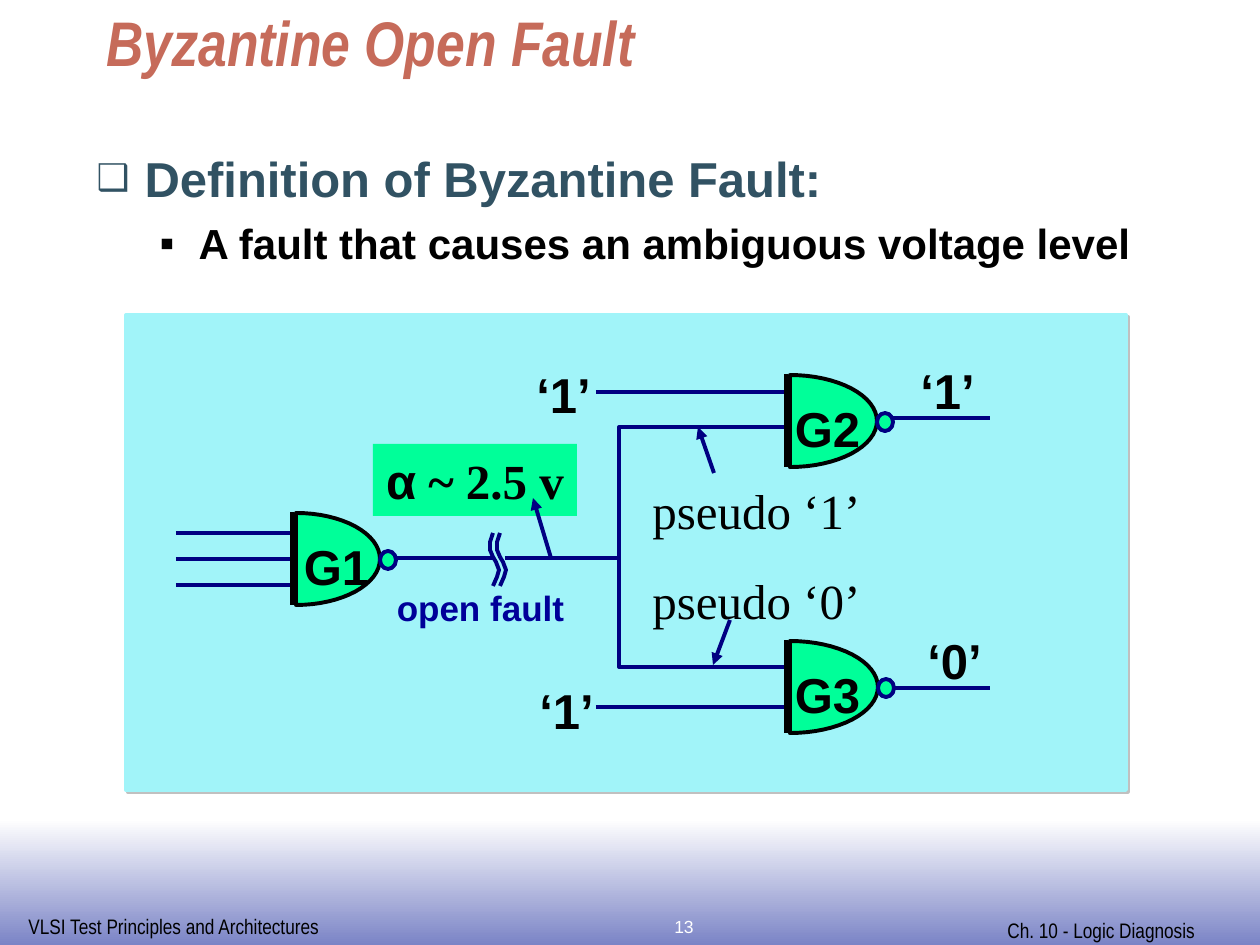
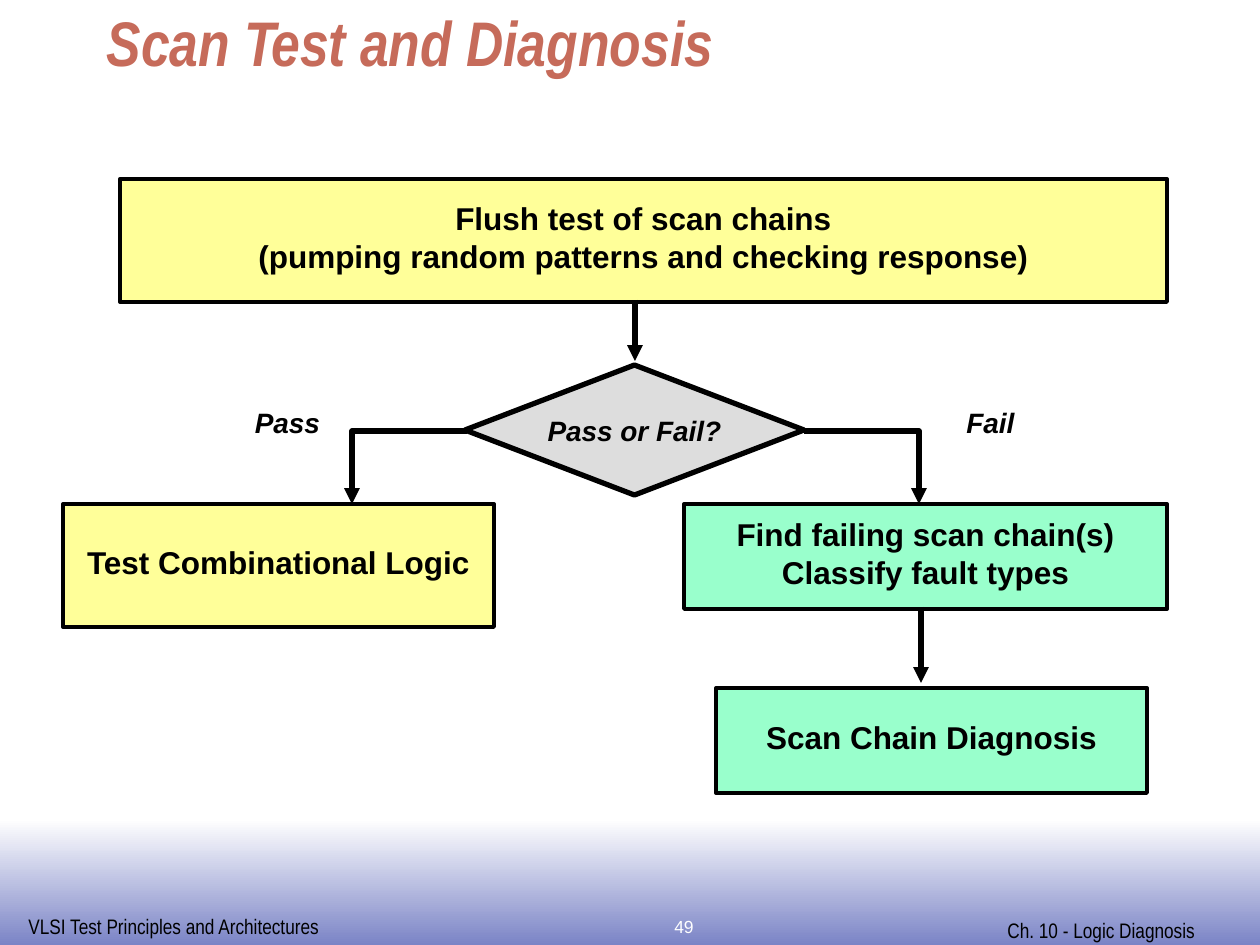
from dataclasses import dataclass
from math import cos, pi, sin

from lxml.etree import SubElement
from pptx import Presentation
from pptx.dml.color import RGBColor
from pptx.enum.dml import MSO_LINE
from pptx.enum.shapes import MSO_CONNECTOR, MSO_SHAPE
from pptx.enum.text import MSO_ANCHOR, MSO_AUTO_SIZE, PP_ALIGN
from pptx.oxml.ns import qn
from pptx.shapes.autoshape import Shape
from pptx.shapes.connector import Connector
from pptx.slide import Slide
from pptx.text.text import TextFrame
from pptx.util import Emu, Pt

BLACK = RGBColor(0x00, 0x00, 0x00)
WHITE = RGBColor(0xFF, 0xFF, 0xFF)
BAND_BLUE = RGBColor(0x7B, 0x84, 0xC6)
TITLE_RUST = RGBColor(0xC6, 0x6B, 0x5A)
HEADING_SLATE = RGBColor(0x31, 0x52, 0x63)
WIRE_NAVY = RGBColor(0x00, 0x00, 0x82)
FAULT_BLUE = RGBColor(0x00, 0x00, 0x99)
GATE_GREEN = RGBColor(0x00, 0xFF, 0x99)
PANEL_CYAN = RGBColor(0xA1, 0xF4, 0xF9)
STEP_YELLOW = RGBColor(0xFF, 0xFF, 0x99)
STEP_MINT = RGBColor(0x99, 0xFF, 0xCC)
DECISION_GREY = RGBColor(0xDD, 0xDD, 0xDD)

SANS, NARROW, SERIF = "Arial", "Arial Narrow", "Times New Roman"
PX_PER_INCH = 126
Box = tuple[int, int, int, int]
Point = tuple[float, float]


@dataclass(frozen=True)
class Style:
    size: int
    font: str = SANS
    color: RGBColor = BLACK
    bold: bool = False
    italic: bool = False


TITLE = Style(36, NARROW, TITLE_RUST, True, True)
HEADING = Style(28, SANS, HEADING_SLATE, True)
DETAIL = Style(24, bold=True)
FOOTER = Style(12, NARROW)
PAGE = Style(10, color=WHITE)
SIGNAL = Style(28, bold=True)
VOLTAGE = Style(28, SERIF, bold=True)
PSEUDO = Style(28, SERIF)
FAULT = Style(20, color=FAULT_BLUE, bold=True)
STEP = Style(18, bold=True)
OUTCOME = Style(16, bold=True, italic=True)


@dataclass(frozen=True)
class Label:
    text: str
    box: Box
    style: Style
    align: PP_ALIGN = PP_ALIGN.CENTER
    wrap: bool = False


@dataclass(frozen=True)
class Gate:
    name: str
    box: Box
    name_left: int


@dataclass(frozen=True)
class Step:
    lines: tuple[str, ...]
    box: Box
    fill: RGBColor


@dataclass(frozen=True)
class Bullet:
    text: str
    style: Style
    char: str
    size_pct: int
    margin: int
    hanging: int
    space_before: int


FOOTERS = (
    Label("VLSI Test Principles and Architectures", (16, 907, 319, 38), FOOTER, PP_ALIGN.LEFT, True),
    Label("Ch. 10 - Logic Diagnosis", (995, 911, 247, 38), FOOTER, PP_ALIGN.LEFT, True),
)
BULLETS = (
    Bullet("Definition of Byzantine Fault:", HEADING, "❑", 75, 48, 48, 0),
    Bullet("A fault that causes an ambiguous voltage level", DETAIL, "▪", 100, 102, 39, 6),
)
GATES = (
    Gate("G1", (296, 513, 84, 92), 291),
    Gate("G2", (790, 375, 87, 92), 782),
    Gate("G3", (790, 641, 88, 92), 782),
)
WIRES = (
    *(((176, 533 + 26 * i), (292, 533 + 26 * i)) for i in range(3)),
    ((393, 558), (493, 558)),
    ((596, 392), (787, 392)),
    ((596, 707), (787, 707)),
    ((891, 418), (990, 418)),
    ((891, 688), (990, 688)),
)
BRANCHES = (
    ((505, 558), (619, 558), (619, 427), (790, 427)),
    ((619, 558), (619, 667), (790, 667)),
)
BREAK_CURVE = ((493, 533), (490, 542), (490, 550), (493, 557), (496, 562),
               (499, 570), (497, 577), (493, 586))
POINTERS = (((551, 558), (533, 498)), ((714, 473), (698, 427)), ((730, 620), (713, 665)))
CIRCUIT_LABELS = (
    Label("‘1’", (524, 358, 79, 72), SIGNAL),
    Label("‘1’", (527, 674, 79, 72), SIGNAL),
    Label("‘1’", (908, 354, 79, 72), SIGNAL),
    Label("‘0’", (915, 624, 79, 72), SIGNAL),
    Label("pseudo ‘1’", (640, 474, 233, 72), PSEUDO, PP_ALIGN.LEFT, True),
    Label("pseudo ‘0’", (640, 564, 233, 72), PSEUDO, PP_ALIGN.LEFT, True),
    Label("open fault", (384, 580, 193, 55), FAULT),
)
STEPS = (
    Step(("Flush test of scan chains", "(pumping random patterns and checking response)"),
         (120, 179, 1047, 123), STEP_YELLOW),
    Step(("Test Combinational Logic",), (63, 504, 431, 123), STEP_YELLOW),
    Step(("Find failing scan chain(s)", "Classify fault types"), (684, 504, 483, 105), STEP_MINT),
    Step(("Scan Chain Diagnosis",), (716, 688, 431, 105), STEP_MINT),
)
FLOWS = (((635, 300), (635, 361)), ((921, 607), (921, 683)))
ELBOWS = (((467, 431), (352, 431), (352, 504)), ((804, 431), (919, 431), (919, 504)))
OUTCOMES = (
    Label("Pass", (242, 399, 91, 47), OUTCOME),
    Label("Fail", (954, 399, 73, 47), OUTCOME),
)


def px(length: float) -> Emu:
    return Emu(round(length * 914400 / PX_PER_INCH))


def add_run(paragraph, text: str, style: Style) -> None:
    run = paragraph.add_run()
    run.text = text
    font = run.font
    font.name, font.size = style.font, Pt(style.size)
    font.bold, font.italic = style.bold, style.italic
    font.color.rgb = style.color


def set_frame(frame: TextFrame, wrap: bool, anchor: MSO_ANCHOR) -> None:
    frame.auto_size = MSO_AUTO_SIZE.NONE
    frame.word_wrap = wrap
    frame.vertical_anchor = anchor


def add_label(slide: Slide, label: Label) -> TextFrame:
    frame = slide.shapes.add_textbox(*map(px, label.box)).text_frame
    set_frame(frame, label.wrap, MSO_ANCHOR.TOP)
    frame.paragraphs[0].alignment = label.align
    add_run(frame.paragraphs[0], label.text, label.style)
    return frame


def paint(shape: Shape, fill: RGBColor | None, line: RGBColor | None, width: float = 2.25) -> None:
    shape.shadow.inherit = False
    if fill is None:
        shape.fill.background()
    else:
        shape.fill.solid()
        shape.fill.fore_color.rgb = fill
    if line is None:
        shape.line.fill.background()
    else:
        shape.line.color.rgb = line
        shape.line.width = Pt(width)


def add_block(slide: Slide, kind: MSO_SHAPE, box: Box, fill: RGBColor,
              line: RGBColor | None, width: float = 2.25) -> Shape:
    block = slide.shapes.add_shape(kind, *map(px, box))
    paint(block, fill, line, width)
    return block


def add_arrowhead(shape: Shape | Connector) -> None:
    SubElement(shape._element.spPr.find(qn("a:ln")), qn("a:tailEnd"), type="triangle")


def add_line(slide: Slide, ends: tuple[Point, Point], color: RGBColor,
             width: float = 2.25, arrow: bool = False) -> None:
    (x1, y1), (x2, y2) = ends
    connector = slide.shapes.add_connector(MSO_CONNECTOR.STRAIGHT, px(x1), px(y1), px(x2), px(y2))
    connector.line.color.rgb = color
    connector.line.width = Pt(width)
    connector.line.dash_style = MSO_LINE.SOLID
    if arrow:
        add_arrowhead(connector)
    SubElement(connector._element.spPr, qn("a:effectLst"))


def add_outline(slide: Slide, points: tuple[Point, ...], color: RGBColor, width: float = 2.25,
                fill: RGBColor | None = None, arrow: bool = False) -> None:
    start, *others = [(px(x), px(y)) for x, y in points]
    builder = slide.shapes.build_freeform(*start)
    builder.add_line_segments(others, close=fill is not None)
    outline = builder.convert_to_shape()
    paint(outline, fill, color, width)
    if arrow:
        add_arrowhead(outline)


def add_gate(slide: Slide, gate: Gate) -> None:
    left, top, width, height = gate.box
    angles = [pi * i / 32 - pi / 2 for i in range(33)]
    arc = tuple((left + width * cos(a), top + height / 2 * (1 + sin(a))) for a in angles)
    add_outline(slide, arc, BLACK, fill=GATE_GREEN)
    add_line(slide, ((left - 4, top - 1), (left - 4, top + height)), BLACK)
    add_block(slide, MSO_SHAPE.OVAL, (left + width, top + 38, 16, 18), GATE_GREEN, WIRE_NAVY)
    add_label(slide, Label(gate.name, (gate.name_left, top + 17, 91, 72), SIGNAL))


def add_step(slide: Slide, step: Step) -> None:
    frame = add_block(slide, MSO_SHAPE.RECTANGLE, step.box, step.fill, BLACK).text_frame
    set_frame(frame, False, MSO_ANCHOR.MIDDLE)
    for i, text in enumerate(step.lines):
        paragraph = frame.add_paragraph() if i else frame.paragraphs[0]
        paragraph.alignment = PP_ALIGN.CENTER
        paragraph.line_spacing = 0.8
        paragraph.space_before = Pt(4.5 if i else 0)
        add_run(paragraph, text, STEP)


def place(placeholder, box: Box) -> None:
    placeholder.left, placeholder.top, placeholder.width, placeholder.height = map(px, box)


def start_slide(prs: Presentation, layout: int, title: str, page: str) -> Slide:
    slide = prs.slides.add_slide(prs.slide_layouts[layout])
    band = add_block(slide, MSO_SHAPE.RECTANGLE, (0, 819, 1260, 126), WHITE, None)
    band.fill.gradient()
    band.fill.gradient_angle = 270
    for stop, color, position in zip(band.fill.gradient_stops, (WHITE, BAND_BLUE), (0, 1)):
        stop.color.rgb = color
        stop.position = position
    for footer in FOOTERS:
        add_label(slide, footer)
    page_frame = add_label(slide, Label(page, (537, 890, 294, 55), PAGE, wrap=True))
    page_frame.margin_top = px(26)

    heading = slide.shapes.title
    place(heading, (94, 31, 1071, 126))
    set_frame(heading.text_frame, True, MSO_ANCHOR.BOTTOM)
    heading.text_frame.margin_bottom = px(78)
    paragraph = heading.text_frame.paragraphs[0]
    paragraph.alignment = PP_ALIGN.LEFT
    paragraph.line_spacing = 0.8
    add_run(paragraph, title, TITLE)
    return slide


def fill_body(slide: Slide) -> None:
    body = slide.placeholders[1]
    place(body, (84, 136, 1065, 192))
    frame = body.text_frame
    set_frame(frame, True, MSO_ANCHOR.TOP)
    frame.margin_top = px(12)
    for level, bullet in enumerate(BULLETS):
        paragraph = frame.add_paragraph() if level else frame.paragraphs[0]
        paragraph.level = level
        props = paragraph._p.get_or_add_pPr()
        props.set("marL", str(px(bullet.margin)))
        props.set("indent", str(-px(bullet.hanging)))
        tint = SubElement(props, qn("a:buClr"))
        SubElement(tint, qn("a:srgbClr"), val=str(bullet.style.color))
        SubElement(props, qn("a:buSzPct"), val=str(bullet.size_pct * 1000))
        SubElement(props, qn("a:buChar"), char=bullet.char)
        paragraph.space_before = Pt(bullet.space_before)
        add_run(paragraph, bullet.text, bullet.style)


def build_open_fault(prs: Presentation) -> None:
    slide = start_slide(prs, 1, "Byzantine Open Fault", "13")
    fill_body(slide)
    panel = add_block(slide, MSO_SHAPE.RECTANGLE, (126, 315, 1000, 475), PANEL_CYAN, PANEL_CYAN)
    effects = panel._element.spPr.find(qn("a:effectLst"))
    shadow = SubElement(effects, qn("a:outerShdw"), dist=str(Pt(1.4)), dir="2700000")
    SubElement(shadow, qn("a:srgbClr"), val="C0C0C0")
    for branch in BRANCHES:
        add_outline(slide, branch, WIRE_NAVY)
    for wire in WIRES:
        add_line(slide, wire, WIRE_NAVY)
    for gate in GATES:
        add_gate(slide, gate)
    for shift in (0, 7):
        add_outline(slide, tuple((x + shift, y) for x, y in BREAK_CURVE), WIRE_NAVY)
    voltage = add_block(slide, MSO_SHAPE.RECTANGLE, (373, 444, 204, 72), GATE_GREEN, None).text_frame
    set_frame(voltage, False, MSO_ANCHOR.TOP)
    voltage.paragraphs[0].alignment = PP_ALIGN.CENTER
    add_run(voltage.paragraphs[0], "α", SIGNAL)
    add_run(voltage.paragraphs[0], " ~ 2.5 v", VOLTAGE)
    for label in CIRCUIT_LABELS:
        add_label(slide, label)
    for pointer in POINTERS:
        add_line(slide, pointer, WIRE_NAVY, arrow=True)


def build_scan_test(prs: Presentation) -> None:
    slide = start_slide(prs, 5, "Scan Test and Diagnosis", "49")
    for step in STEPS:
        add_step(slide, step)
    decision = add_block(slide, MSO_SHAPE.DIAMOND, (465, 365, 339, 130), DECISION_GREY, BLACK, 3)
    set_frame(decision.text_frame, False, MSO_ANCHOR.MIDDLE)
    decision.text_frame.paragraphs[0].alignment = PP_ALIGN.CENTER
    add_run(decision.text_frame.paragraphs[0], "Pass or Fail?", OUTCOME)
    for flow in FLOWS:
        add_line(slide, flow, BLACK, 3, arrow=True)
    for elbow in ELBOWS:
        add_outline(slide, elbow, BLACK, 3, arrow=True)
    for outcome in OUTCOMES:
        add_label(slide, outcome)


def main() -> None:
    prs = Presentation()
    prs.slide_width, prs.slide_height = px(1260), px(945)
    build_open_fault(prs)
    build_scan_test(prs)
    prs.save("out.pptx")


if __name__ == "__main__":
    main()
